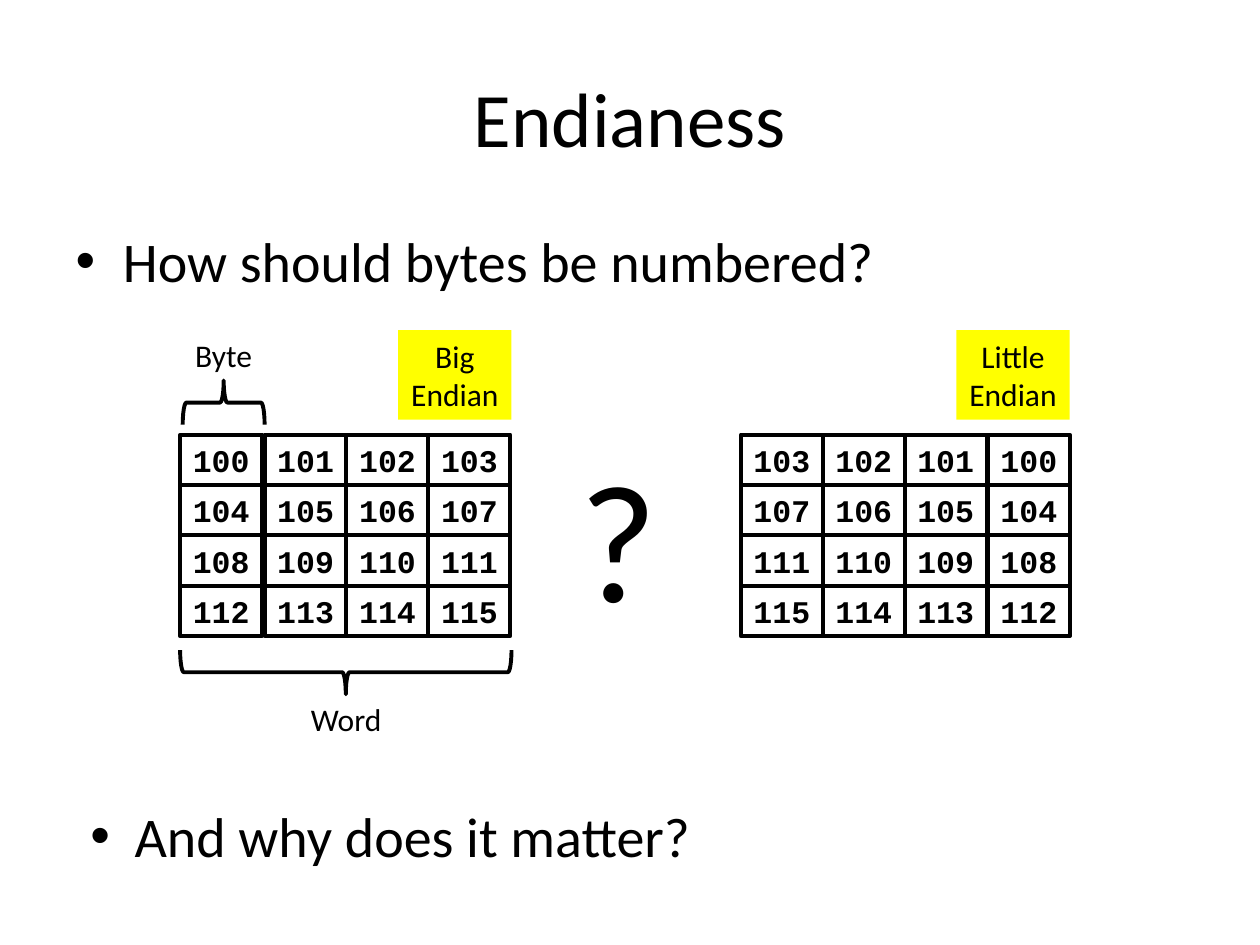
from dataclasses import dataclass

from lxml import etree
from pptx import Presentation, util as u
from pptx.dml import color
from pptx.enum import shapes, text
from pptx.oxml import ns


@dataclass(frozen=True)
class Theme:
    """Colours, fonts and type sizes of the slide."""
    ink: str = "000000"
    mark: str = "FFFF00"
    sans: str = "Calibri"
    mono: str = "Courier New"
    title: int = 44
    body: int = 32
    label: int = 18
    huge: int = 96
    line: float = 2.25


def put(item, vals):
    """Set attributes from a dict of values."""
    for key, val in vals.items():
        setattr(item, key, val)


def place(item, box):
    """Move and size an item, in inches."""
    names = ("left", "top", "width", "height")
    put(item, dict(zip(names, map(u.Inches, box))))


class Page:
    """Holds the theme and the current slide."""

    def __init__(self, deck, theme):
        """Add a title and content slide."""
        self.theme = theme
        self.slide = deck.slides.add_slide(deck.slide_layouts[1])

    def letter(self, frame, words, size, font=None, bold=False, align=None):
        """Fill a text frame and format each paragraph."""
        frame.text = words
        for para in frame.paragraphs:
            para.alignment = align
            for run in para.runs:
                put(run.font, {"size": u.Pt(size), "bold": bold,
                               "name": font or self.theme.sans})
                run.font.color.rgb = color.RGBColor.from_string(self.theme.ink)

    def holder(self, index, box, words, size, **form):
        """Move and fill a placeholder."""
        item = self.slide.placeholders[index]
        place(item, box)
        self.letter(item.text_frame, words, size, **form)

    def fit(self, frame):
        """Let a frame grow with unwrapped text."""
        put(frame, {"word_wrap": False,
                    "auto_size": text.MSO_AUTO_SIZE.SHAPE_TO_FIT_TEXT})

    def label(self, box, words, size):
        """Add a text box and return its frame."""
        frame = self.slide.shapes.add_textbox(*map(u.Inches, box)).text_frame
        self.letter(frame, words, size)
        self.fit(frame)
        return frame

    def bullet(self, box, words, indent):
        """Add a text box with one bullet."""
        frame = self.label(box, words, self.theme.body)
        props = frame.paragraphs[0]._p.get_or_add_pPr()
        props.set("marL", str(u.Inches(indent)))
        props.set("indent", str(-u.Inches(indent)))
        font = etree.SubElement(props, ns.qn("a:buFont"))
        font.set("typeface", "Arial")
        etree.SubElement(props, ns.qn("a:buChar")).set("char", "•")

    def shape(self, kind, box, fill=None, line=True, turn=0):
        """Add a preset shape without shadow."""
        item = self.slide.shapes.add_shape(kind, *map(u.Inches, box))
        item.shadow.inherit = False
        item.rotation = turn
        if fill:
            item.fill.solid()
            item.fill.fore_color.rgb = color.RGBColor.from_string(fill)
        else:
            item.fill.background()
        if line:
            item.line.color.rgb = color.RGBColor.from_string(self.theme.ink)
            item.line.width = u.Pt(self.theme.line)
        else:
            item.line.fill.background()
        return item

    def block(self, box, words, font=None, bold=False, **look):
        """Add a rectangle with centred text."""
        item = self.shape(shapes.MSO_SHAPE.RECTANGLE, box, **look)
        self.letter(item.text_frame, words, self.theme.label, font, bold,
                    text.PP_ALIGN.CENTER)
        self.fit(item.text_frame)

    def brace(self, box, turn):
        """Add a turned brace."""
        self.shape(shapes.MSO_SHAPE.LEFT_BRACE, box, turn=turn)

    def grid(self, lefts):
        """Number bytes row by row, along the given column lefts."""
        for row in range(4):
            for col, left in enumerate(lefts):
                self.block((left, 3.45 + 0.4 * row, 0.65, 0.4),
                           str(100 + 4 * row + col),
                           font=self.theme.mono, bold=True)


def main():
    """Build and save the slide."""
    deck = Presentation()
    put(deck, {"slide_width": u.Inches(10), "slide_height": u.Inches(7.5)})
    theme = Theme()
    page = Page(deck, theme)

    page.holder(0, (0.5, 0.3, 9, 1.25), "Endianess", theme.title,
                align=text.PP_ALIGN.CENTER)
    page.holder(1, (0.5, 1.75, 9, 0.67), "How should bytes be numbered?",
                theme.body)

    page.grid((1.43, 2.1, 2.75, 3.4))
    page.grid((7.84, 7.18, 6.53, 5.88))

    page.brace((1.6, 2.87, 0.35, 0.65), 90)
    page.brace((2.57, 4.02, 0.35, 2.63), 270)
    page.label((1.45, 2.62, 0.66, 0.4), "Byte", theme.label)
    page.label((2.37, 5.51, 0.77, 0.4), "Word", theme.label)
    page.label((4.5, 3.4, 0.83, 1.72), "?", theme.huge)
    page.bullet((0.62, 6.31, 5.03, 0.64), "And why does it matter?", 0.35)

    for left, order in ((3.16, "Big"), (7.59, "Little")):
        page.block((left, 2.62, 0.9, 0.71), order + "\nEndian",
                   fill=theme.mark, line=False)

    deck.save("out.pptx")


main()
